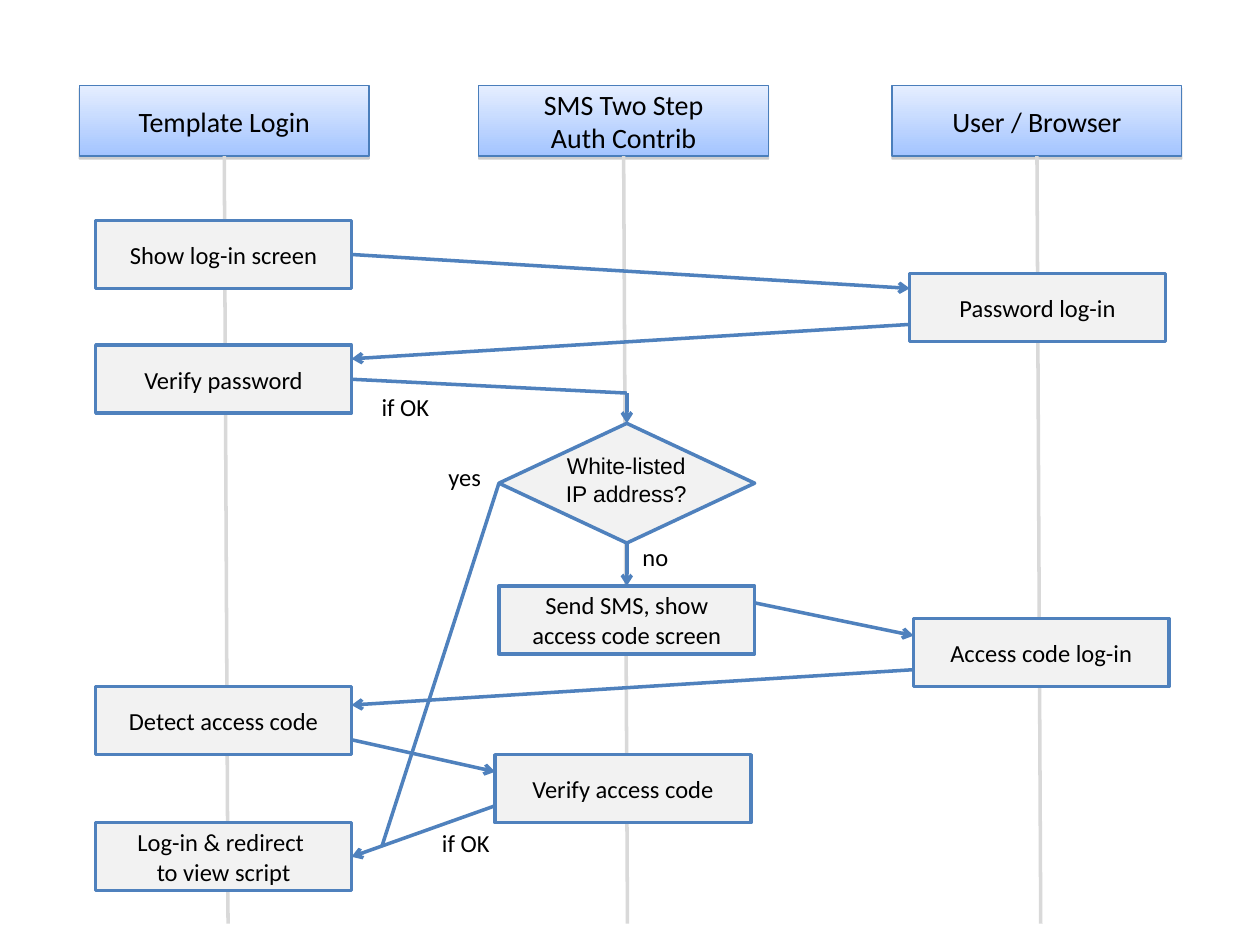
from lxml import etree
from pptx import Presentation
from pptx.dml.color import RGBColor
from pptx.enum.shapes import MSO_CONNECTOR, MSO_SHAPE
from pptx.enum.text import MSO_ANCHOR, MSO_AUTO_SIZE, PP_ALIGN
from pptx.oxml.ns import qn
from pptx.util import Inches, Pt

RECTANGLE, DIAMOND = MSO_SHAPE.RECTANGLE, MSO_SHAPE.DIAMOND
STRAIGHT = MSO_CONNECTOR.STRAIGHT
MIDDLE, TOP = MSO_ANCHOR.MIDDLE, MSO_ANCHOR.TOP
CENTER, LEFT = PP_ALIGN.CENTER, PP_ALIGN.LEFT
FIT_TEXT = MSO_AUTO_SIZE.SHAPE_TO_FIT_TEXT

BLACK = RGBColor(0x00, 0x00, 0x00)
BLUE = RGBColor(0x4F, 0x81, 0xBD)
HEADER_LINE = RGBColor(0x4A, 0x7E, 0xBB)
HEADER_TOP = RGBColor(0xE5, 0xEE, 0xFF)
HEADER_BOTTOM = RGBColor(0xA3, 0xC4, 0xFF)
LIFELINE = RGBColor(0xD9, 0xD9, 0xD9)
STEP_FILL = RGBColor(0xF2, 0xF2, 0xF2)

HEADER_Y, HEADER_WIDTH, HEADER_HEIGHT = 0.68, 2.3, 0.56
LIFELINE_END, LIFELINE_DRIFT = 7.33, 0.03
STEP_WIDTH, STEP_HEIGHT = 2.03, 0.54
DECISION = (3.96, 3.36, STEP_WIDTH, 0.95)

LANES = [
    (0.63, "Template Login"),
    (3.8, "SMS Two Step\nAuth Contrib"),
    (7.08, "User / Browser"),
]
STEPS = {
    "show": (0.76, 1.75, "Show log-in screen"),
    "password": (7.22, 2.17, "Password log-in"),
    "verify": (0.76, 2.74, "Verify password"),
    "send": (3.96, 4.65, "Send SMS, show access code screen"),
    "access": (7.25, 4.91, "Access code log-in"),
    "detect": (0.76, 5.45, "Detect access code"),
    "check": (3.93, 5.99, "Verify access code"),
    "redirect": (0.76, 6.53, "Log-in & redirect \nto view script"),
}
MESSAGES = [
    ("show", 0.5, "password", 0.22),
    ("password", 0.75, "verify", 0.2),
    ("send", 0.25, "access", 0.25),
    ("access", 0.75, "detect", 0.27),
    ("detect", 0.78, "check", 0.25),
    ("check", 0.75, "redirect", 0.5),
]
LABELS = [
    (2.93, 3.06, 0.6, "if OK"),
    (3.41, 6.52, 0.6, "if OK"),
    (3.46, 3.62, 0.48, "yes"),
    (5, 4.25, 0.45, "no"),
]


def write(shape, text, size, font="Calibri", align=CENTER, anchor=MIDDLE, wrap=True):
    frame = shape.text_frame
    frame.word_wrap = wrap
    frame.vertical_anchor = anchor
    if not wrap:
        frame.auto_size = FIT_TEXT
    paragraph = frame.paragraphs[0]
    paragraph.alignment = align
    for index, line in enumerate(text.split("\n")):
        if index:
            paragraph.add_line_break()
        run = paragraph.add_run()
        run.text = line
        run.font.size = Pt(size)
        run.font.name = font
        run.font.color.rgb = BLACK


def add_box(slide, kind, left, top, width, height, line_color=BLUE, line_width=2):
    shape = slide.shapes.add_shape(kind, *map(Inches, (left, top, width, height)))
    shape.shadow.inherit = False
    shape.fill.solid()
    shape.fill.fore_color.rgb = STEP_FILL
    shape.line.color.rgb = line_color
    shape.line.width = Pt(line_width)
    return shape


def add_header(slide, left, text):
    shape = add_box(slide, RECTANGLE, left, HEADER_Y, HEADER_WIDTH, HEADER_HEIGHT,
                    HEADER_LINE, 0.75)
    shape.fill.gradient()
    shape.fill.gradient_angle = 270
    for stop, color in zip(shape.fill.gradient_stops, (HEADER_TOP, HEADER_BOTTOM)):
        stop.color.rgb = color
    effects = shape.element.spPr.find(qn("a:effectLst"))
    shadow = etree.SubElement(effects, qn("a:outerShdw"), blurRad="0",
                              dist=str(Pt(1.6)), dir="5400000", rotWithShape="0")
    color = etree.SubElement(shadow, qn("a:srgbClr"), val="808080")
    etree.SubElement(color, qn("a:alpha"), val="38000")
    write(shape, text, 16)


def add_line(slide, start, end, color=BLUE, arrow=True):
    connector = slide.shapes.add_connector(STRAIGHT, *map(Inches, (*start, *end)))
    connector.line.color.rgb = color
    connector.line.width = Pt(2)
    properties = connector.element.spPr
    if arrow:
        etree.SubElement(properties.find(qn("a:ln")), qn("a:tailEnd"), type="arrow")
    etree.SubElement(properties, qn("a:effectLst"))


def add_label(slide, left, top, width, height, text, size=14, **style):
    box = slide.shapes.add_textbox(*map(Inches, (left, top, width, height)))
    write(box, text, size, anchor=TOP, wrap=False, **style)


def add_message(slide, source, source_share, target, target_share):
    source_x, source_y, _ = STEPS[source]
    target_x, target_y, _ = STEPS[target]
    if source_x < target_x:
        source_x += STEP_WIDTH
    else:
        target_x += STEP_WIDTH
    add_line(slide, (source_x, source_y + source_share * STEP_HEIGHT),
             (target_x, target_y + target_share * STEP_HEIGHT))


def main():
    presentation = Presentation()
    presentation.slide_width, presentation.slide_height = Inches(10), Inches(7.5)
    slide = presentation.slides.add_slide(presentation.slide_layouts[6])

    for left, text in LANES:
        add_header(slide, left, text)
    for left, _ in LANES:
        center = left + HEADER_WIDTH / 2
        add_line(slide, (center, HEADER_Y + HEADER_HEIGHT),
                 (center + LIFELINE_DRIFT, LIFELINE_END), LIFELINE, arrow=False)
    for left, top, text in STEPS.values():
        write(add_box(slide, RECTANGLE, left, top, STEP_WIDTH, STEP_HEIGHT), text, 14)
    for message in MESSAGES:
        add_message(slide, *message)

    left, top, width, height = DECISION
    center = left + width / 2
    verify_x, verify_y, _ = STEPS["verify"]
    bend = (center, 3.12)
    add_line(slide, (verify_x + STEP_WIDTH, verify_y + STEP_HEIGHT / 2), bend, arrow=False)
    add_line(slide, (left, top + height / 2), (3.03, 6.72), arrow=False)
    add_box(slide, DIAMOND, *DECISION)
    add_line(slide, bend, (center, top))
    add_line(slide, (center, top + height), (center, STEPS["send"][1]))

    for left, top, width, text in LABELS:
        add_label(slide, left, top, width, 0.34, text, align=LEFT)
    add_label(slide, 4.39, 3.54, 1.16, 0.54, "White-listed\nIP address?", 13, font="Arial")

    presentation.save("out.pptx")


if __name__ == "__main__":
    main()
